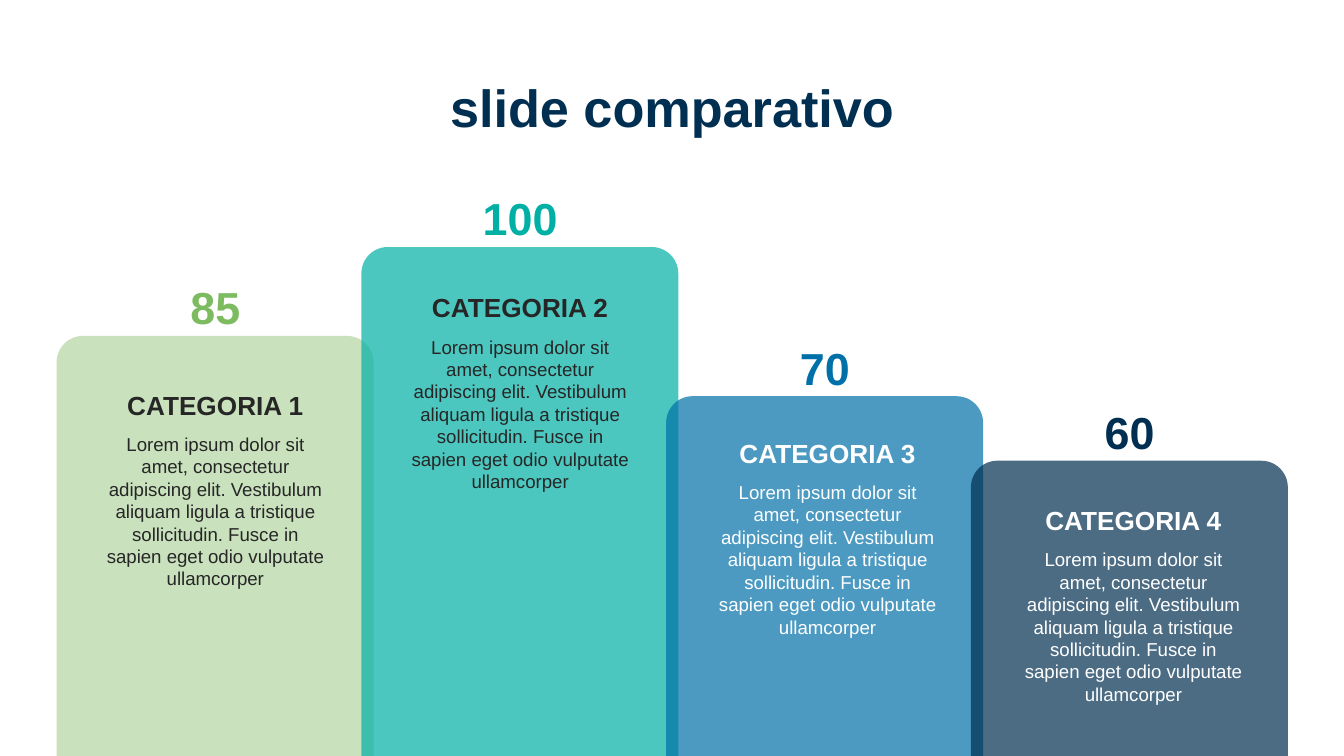
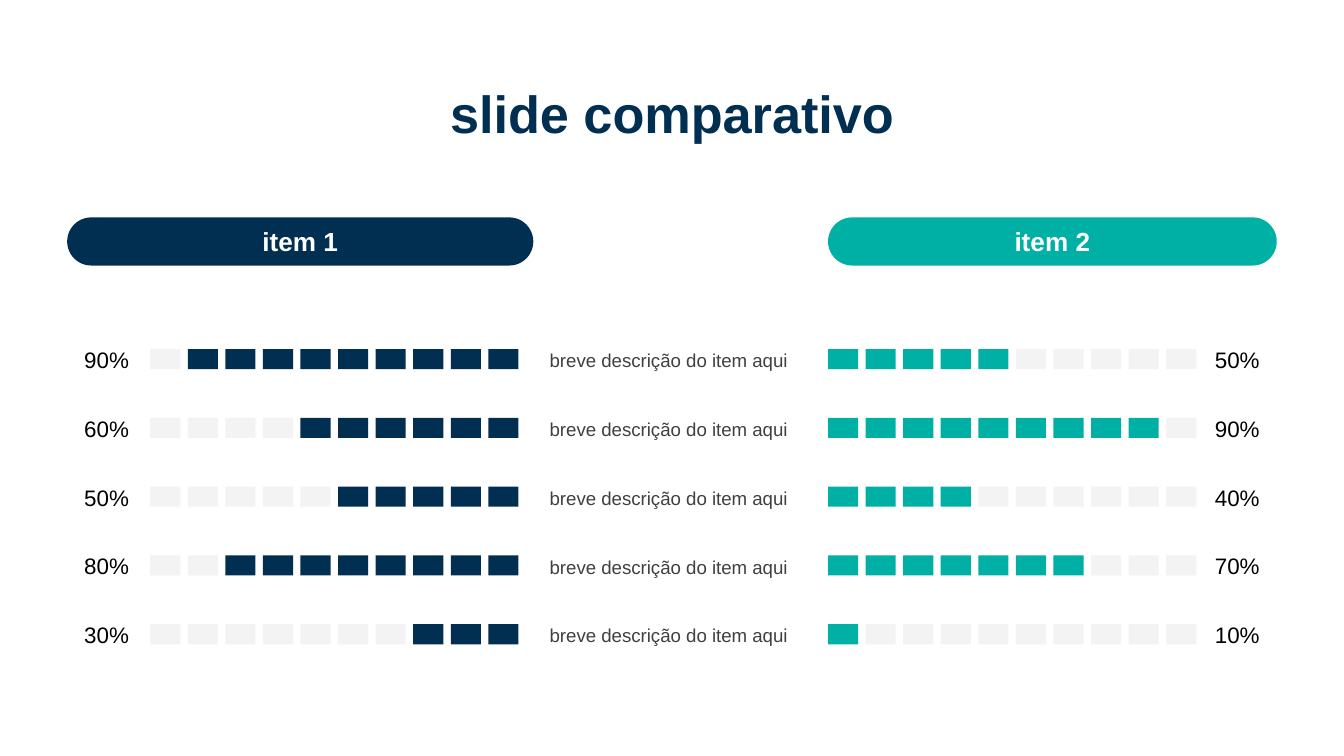
import pptx
import pptx.util
import pptx.dml.color
import pptx.enum.shapes
import pptx.enum.text
import pptx.oxml.ns
from lxml import etree

Cm = pptx.util.Cm
Pt = pptx.util.Pt
RGBColor = pptx.dml.color.RGBColor
SHAPE = pptx.enum.shapes.MSO_SHAPE
ALIGN = pptx.enum.text.PP_ALIGN
ANCHOR = pptx.enum.text.MSO_ANCHOR
AUTO_SIZE = pptx.enum.text.MSO_AUTO_SIZE

NAVY = RGBColor(0x00, 0x2F, 0x51)
TEAL = RGBColor(0x00, 0xB0, 0xA5)
BLUE = RGBColor(0x00, 0x70, 0xA9)
GREEN = RGBColor(0x7D, 0xBB, 0x60)
PALE_GREEN = RGBColor(0xB3, 0xD7, 0xA2)
WHITE = RGBColor(0xFF, 0xFF, 0xFF)
BLACK = RGBColor(0x00, 0x00, 0x00)
DARK = RGBColor(0x26, 0x26, 0x26)
GRAY = RGBColor(0x40, 0x40, 0x40)
LIGHT = RGBColor(0xF3, 0xF3, 0xF3)

FONT = "Arial"
SLIDE_W, SLIDE_H = 25.4, 14.29
INSET = 0.25
LOREM = ("Lorem ipsum dolor sit amet, consectetur adipiscing elit. Vestibulum "
         "aliquam ligula a tristique sollicitudin. Fusce in sapien eget odio "
         "vulputate ullamcorper")


def box(left, top, width, height):
    return Cm(left), Cm(top), Cm(width), Cm(height)


def write(sp, text, size, color, bold=False, align=ALIGN.CENTER,
          anchor=ANCHOR.MIDDLE, inset_y=INSET):
    tf = sp.text_frame
    tf.word_wrap = True
    tf.auto_size = AUTO_SIZE.NONE
    tf.vertical_anchor = anchor
    tf.margin_left = tf.margin_right = Cm(INSET)
    tf.margin_top = tf.margin_bottom = Cm(inset_y)
    p = tf.paragraphs[0]
    p.alignment = align
    r = p.add_run()
    r.text = text
    r.font.name = FONT
    r.font.size = Pt(size)
    r.font.bold = bold
    r.font.color.rgb = color
    return p


def add_text(shapes, place, text, size, color, **style):
    sp = shapes.add_textbox(*box(*place))
    write(sp, text, size, color, **style)
    return sp


def add_block(slide, kind, place, color):
    sp = slide.shapes.add_shape(kind, *box(*place))
    sp.shadow.inherit = False
    sp.fill.solid()
    sp.fill.fore_color.rgb = color
    sp.line.fill.background()
    return sp


def set_opacity(sp, percent):
    qn = pptx.oxml.ns.qn
    rgb = sp.fill._xPr.find(qn("a:solidFill")).find(qn("a:srgbClr"))
    etree.SubElement(rgb, qn("a:alpha")).set("val", str(percent * 1000))


def add_titled_slide(prs, text, inset_y):
    slide = prs.slides.add_slide(prs.slide_layouts[5])
    title = slide.shapes.title
    title.left, title.top, title.width, title.height = box(1.75, 1.42, 21.9, 1.19)
    p = write(title, text, 28, NAVY, bold=True, anchor=ANCHOR.TOP, inset_y=inset_y)
    p.line_spacing = 0.9
    return slide


def add_column(slide, left, top, value, name, fill, value_color, text_color,
               text_dx, text_dy, body_h):
    width, height, radius = 5.99, SLIDE_H - top, 0.5
    bar = add_block(slide, SHAPE.ROUND_2_SAME_RECTANGLE,
                    (left, top, width, height), fill)
    bar.adjustments[0] = radius / min(width, height)
    set_opacity(bar, 70)
    add_text(slide.shapes, (left + 0.89, top - 0.83, 4.22, 0.56),
             value, 24, value_color, bold=True)
    x, y, text_w, name_h = left + text_dx, top + text_dy, 4.62, 0.56
    add_text(slide.shapes, (x, y, text_w, name_h), name, 14, text_color, bold=True)
    add_text(slide.shapes, (x, y + name_h, text_w, body_h),
             LOREM, 10, text_color, anchor=ANCHOR.TOP)


def add_column_slide(prs):
    slide = add_titled_slide(prs, "slide comparativo", 0.13)
    columns = [
        (6.35, "85", "CATEGORIA 1", PALE_GREEN, GREEN, DARK, 0.69, 1.02, 3.73),
        (4.67, "100", "CATEGORIA 2", TEAL, TEAL, DARK, 0.69, 0.86, 3.73),
        (7.49, "70", "CATEGORIA 3", BLUE, BLUE, WHITE, 0.74, 0.79, 3.73),
        (8.71, "60", "CATEGORIA 4", NAVY, NAVY, WHITE, 0.76, 0.84, 2.77),
    ]
    for i, column in enumerate(columns):
        add_column(slide, 1.07 + 5.76 * i, *column)


def add_pill(slide, place, text, color):
    sp = add_block(slide, SHAPE.ROUNDED_RECTANGLE, place, color)
    sp.adjustments[0] = 0.5
    write(sp, text, 14, WHITE, bold=True)


def add_gauge(slide, left, top, percent, color, from_right, label_left):
    count, pitch = 10, 0.71
    filled = percent // count
    for i in range(count):
        rank = count - 1 - i if from_right else i
        add_block(slide, SHAPE.RECTANGLE, (left + pitch * i, top, 0.57, 0.38),
                  color if rank < filled else LIGHT)
    add_text(slide.shapes, (label_left, top - 0.23, 1.88, 0.86),
             f"{percent}%", 12, BLACK,
             align=ALIGN.RIGHT if from_right else ALIGN.LEFT)


def add_gauge_slide(prs):
    slide = add_titled_slide(prs, "slide comparativo", INSET)
    add_pill(slide, (15.65, 4.11, 8.48, 0.91), "item 2", TEAL)
    add_pill(slide, (1.27, 4.11, 8.81, 0.91), "item 1", NAVY)
    group = slide.shapes.add_group_shape()
    rows = [(90, 50), (60, 90), (50, 40), (80, 70), (30, 10)]
    for i, (first, second) in enumerate(rows):
        top = 6.6 + 1.3 * i
        add_gauge(slide, 2.84, top, first, NAVY, True, 0.81)
        add_gauge(slide, 15.65, top, second, TEAL, False, 22.71)
        sp = add_text(group.shapes, (10.08, top - 0.13, 5.11, 0.69),
                      "breve descrição do item aqui", 10, GRAY,
                      anchor=ANCHOR.TOP, inset_y=0.13)
        sp.text_frame.auto_size = AUTO_SIZE.SHAPE_TO_FIT_TEXT


def main():
    prs = pptx.Presentation()
    prs.slide_width, prs.slide_height = Cm(SLIDE_W), Cm(SLIDE_H)
    add_column_slide(prs)
    add_gauge_slide(prs)
    prs.save("out.pptx")


if __name__ == "__main__":
    main()
